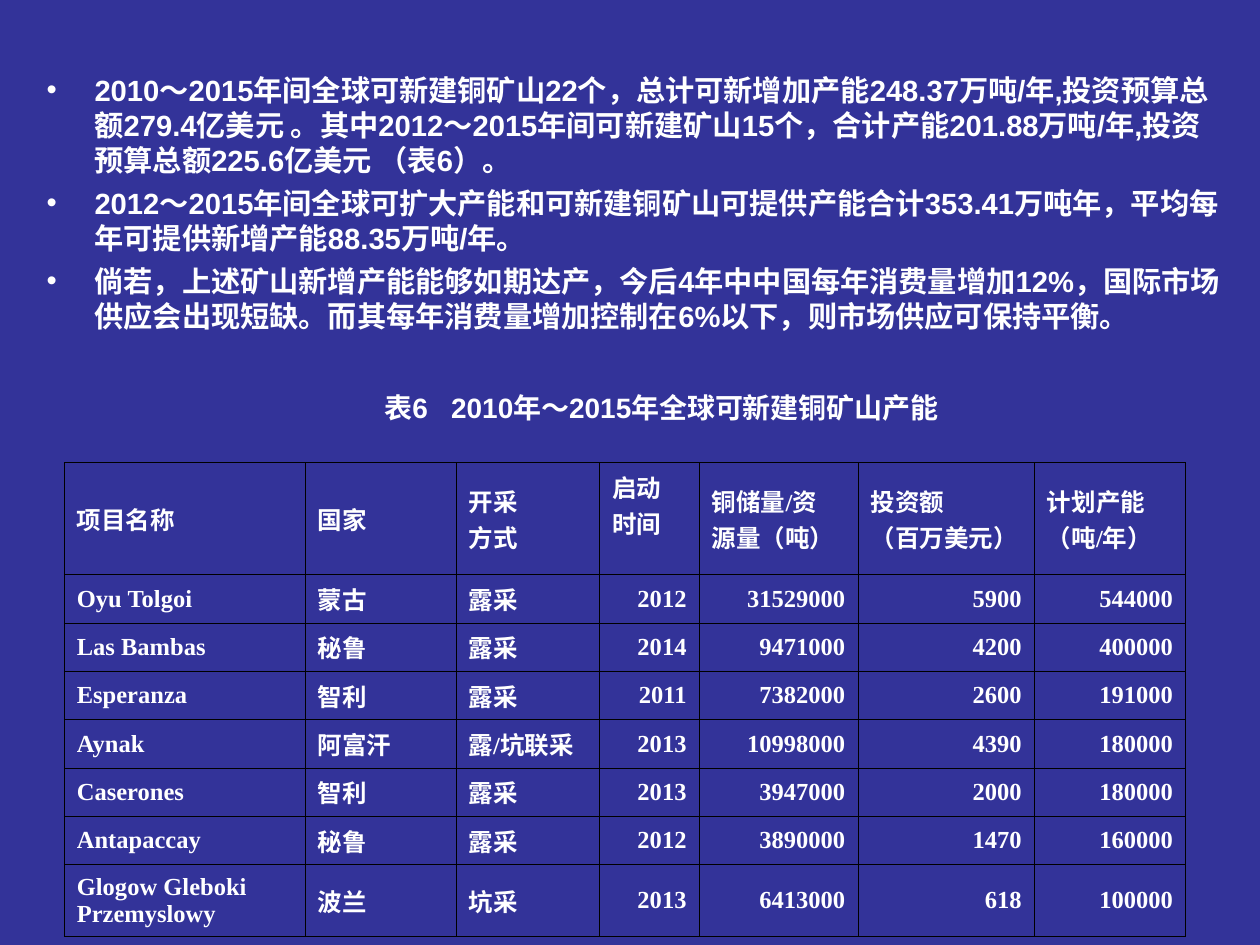
from dataclasses import dataclass

from lxml import etree
from pptx import Presentation
from pptx.dml.color import RGBColor
from pptx.enum import text
from pptx.oxml import ns
from pptx.util import Inches, Pt


@dataclass(frozen=True)
class Theme:
    background: RGBColor = RGBColor(0x33, 0x33, 0x99)
    ink: RGBColor = RGBColor(0xFF, 0xFF, 0xFF)
    border: str = "000000"
    border_width: float = 0.45
    heading_font: str = "Arial"
    table_font: str = "Times New Roman"
    title_size: float = 16
    body_size: float = 16.7
    table_size: float = 14


THEME = Theme()

TITLE_PARTS = ["表6", " ", "2010年～2015年全球可新建铜矿山产能"]
POINTS = [
    "2010～2015年间全球可新建铜矿山22个，总计可新增加产能248.37万吨/年,投资预算总额279.4亿美元 。"
    "其中2012～2015年间可新建矿山15个，合计产能201.88万吨/年,投资预算总额225.6亿美元 （表6）。",
    "2012～2015年间全球可扩大产能和可新建铜矿山可提供产能合计353.41万吨年，平均每年可提供新增产能88.35万吨/年。",
    "倘若，上述矿山新增产能能够如期达产，今后4年中中国每年消费量增加12%，国际市场供应会出现短缺。"
    "而其每年消费量增加控制在6%以下，则市场供应可保持平衡。",
]
HEADER = ["项目名称", "国家", "开采\n方式", "启动\n时间", "铜储量/资\n源量（吨）",
          "投资额\n（百万美元）", "计划产能\n（吨/年）"]
MINES = [
    ["Oyu Tolgoi", "蒙古", "露采", 2012, 31529000, 5900, 544000],
    ["Las Bambas", "秘鲁", "露采", 2014, 9471000, 4200, 400000],
    ["Esperanza", "智利", "露采", 2011, 7382000, 2600, 191000],
    ["Aynak", "阿富汗", "露/坑联采", 2013, 10998000, 4390, 180000],
    ["Caserones", "智利", "露采", 2013, 3947000, 2000, 180000],
    ["Antapaccay", "秘鲁", "露采", 2012, 3890000, 1470, 160000],
    ["Glogow Gleboki Przemyslowy", "波兰", "坑采", 2013, 6413000, 618, 100000],
]
COLUMN_WIDTHS = [1.91, 1.2, 1.14, 0.79, 1.26, 1.4, 1.2]
ROW_HEIGHTS = [0.89] + [0.34] * 6 + [0.57]
START_COLUMN = 3


def style_runs(p, font, size):
    for r in p.runs:
        r.font.name = font
        r.font.size = Pt(size)
        r.font.bold = True
        r.font.color.rgb = THEME.ink


def place(sp, box, anchor):
    sp.left, sp.top, sp.width, sp.height = (Inches(v) for v in box)
    tf = sp.text_frame
    tf.word_wrap = True
    tf.auto_size = text.MSO_AUTO_SIZE.NONE
    tf.vertical_anchor = anchor
    return tf


def add_bullet(p):
    pPr = p._p.get_or_add_pPr()
    pPr.set("marL", str(Inches(0.38)))
    pPr.set("indent", str(-Inches(0.38)))
    color = etree.SubElement(pPr, ns.qn("a:buClr"))
    etree.SubElement(color, ns.qn("a:srgbClr"), val=str(THEME.ink))
    etree.SubElement(pPr, ns.qn("a:buChar"), char="•")


def fill_title(sp, box):
    p = place(sp, box, text.MSO_ANCHOR.MIDDLE).paragraphs[0]
    p.alignment = text.PP_ALIGN.CENTER
    for part in TITLE_PARTS:
        p.add_run().text = part
    style_runs(p, THEME.heading_font, THEME.title_size)
    # Widen the gap after the table number by letter spacing (1/100 pt).
    p.runs[1].font._element.set("spc", "890")


def fill_points(sp, box):
    tf = place(sp, box, text.MSO_ANCHOR.TOP)
    tf.text = "\n".join(POINTS)
    for i, p in enumerate(tf.paragraphs):
        add_bullet(p)
        p.line_spacing = 1.0
        p.space_before = Pt(4.5 if i else 0)
        style_runs(p, THEME.heading_font, THEME.body_size)


def add_borders(cell):
    tcPr = cell._tc.get_or_add_tcPr()
    for i, side in enumerate(("lnL", "lnR", "lnT", "lnB")):
        ln = etree.Element(ns.qn(f"a:{side}"), w=str(Pt(THEME.border_width)))
        fill = etree.SubElement(ln, ns.qn("a:solidFill"))
        etree.SubElement(fill, ns.qn("a:srgbClr"), val=THEME.border)
        tcPr.insert(i, ln)


def fill_cell(cell, value):
    """Write one value; numbers are aligned right."""
    cell.text = str(value)
    cell.vertical_anchor = text.MSO_ANCHOR.MIDDLE
    cell.fill.background()
    add_borders(cell)
    for p in cell.text_frame.paragraphs:
        if isinstance(value, int):
            p.alignment = text.PP_ALIGN.RIGHT
        style_runs(p, THEME.table_font, THEME.table_size)


def add_mine_table(s, left, top):
    rows = [HEADER] + MINES
    table = s.shapes.add_table(
        len(rows), len(HEADER), Inches(left), Inches(top),
        Inches(sum(COLUMN_WIDTHS)), Inches(sum(ROW_HEIGHTS))).table
    table.first_row = table.horz_banding = False
    for column, width in zip(table.columns, COLUMN_WIDTHS):
        column.width = Inches(width)
    for row, height, values in zip(table.rows, ROW_HEIGHTS, rows):
        row.height = Inches(height)
        for cell, value in zip(row.cells, values):
            fill_cell(cell, value)
    table.cell(0, START_COLUMN).vertical_anchor = text.MSO_ANCHOR.TOP


def main():
    prs = Presentation()
    prs.slide_width, prs.slide_height = Inches(10), Inches(7.5)
    s = prs.slides.add_slide(prs.slide_layouts[1])
    s.background.fill.solid()
    s.background.fill.fore_color.rgb = THEME.background
    fill_title(s.shapes.title, (0.75, 3.04, 9, 0.38))
    fill_points(s.placeholders[1], (0.27, 0.52, 9.53, 2.28))
    add_mine_table(s, 0.51, 3.67)
    prs.save("out.pptx")


if __name__ == "__main__":
    main()
